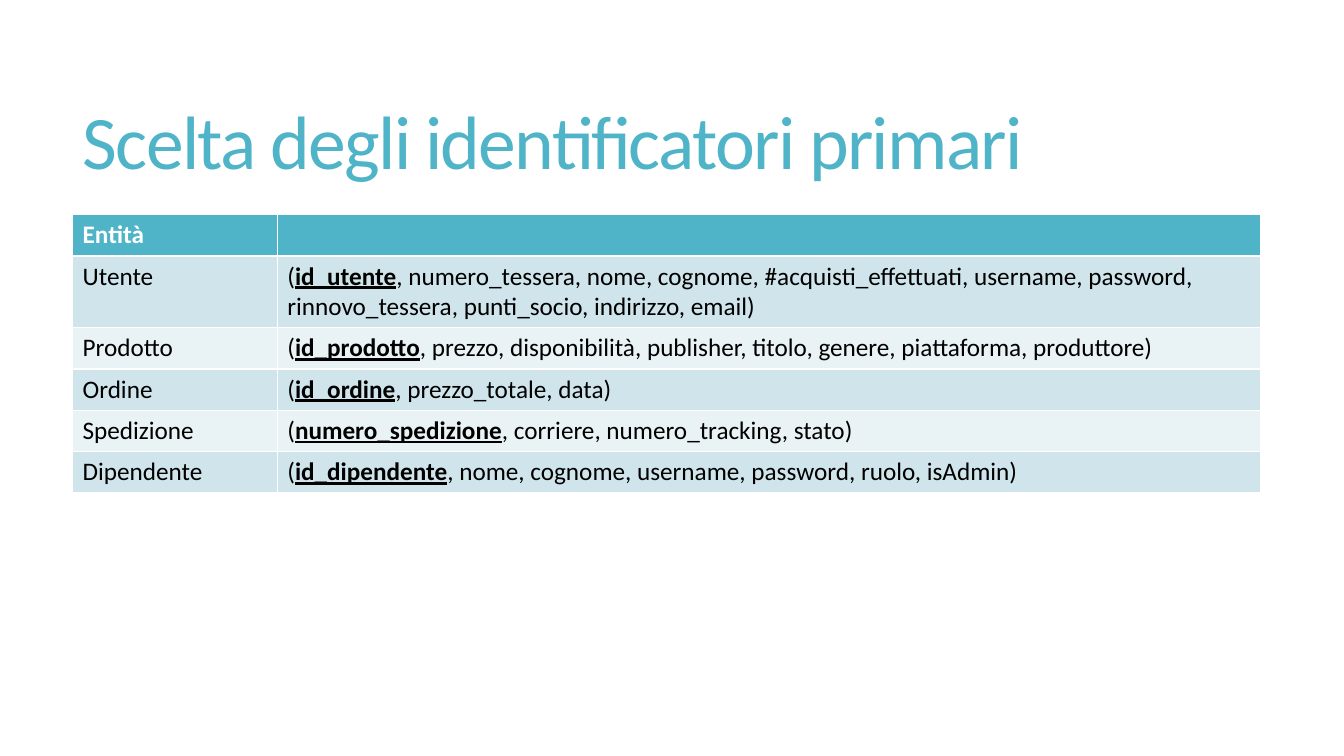
import pptx
import pptx.util
import pptx.dml.color
import pptx.enum.text

Inches = pptx.util.Inches


def style(font, size, color, bold=False):
    font.name = "Calibri"
    font.size = pptx.util.Pt(size)
    font.bold = bold
    font.color.rgb = pptx.dml.color.RGBColor.from_string(color)


entities = [
    ("Utente", "id_utente", ", numero_tessera, nome, cognome, #acquisti_effettuati, username, "
     "password, rinnovo_tessera, punti_socio, indirizzo, email)"),
    ("Prodotto", "id_prodotto",
     ", prezzo, disponibilità, publisher, titolo, genere, piattaforma, produttore)"),
    ("Ordine", "id_ordine", ", prezzo_totale, data)"),
    ("Spedizione", "numero_spedizione", ", corriere, numero_tracking, stato)"),
    ("Dipendente", "id_dipendente", ", nome, cognome, username, password, ruolo, isAdmin)"),
]

presentation = pptx.Presentation()
presentation.slide_width = Inches(13.33)
presentation.slide_height = Inches(7.5)
slide = presentation.slides.add_slide(presentation.slide_layouts[5])

title = slide.shapes.title
title.left, title.top = Inches(0.72), Inches(0.55)
title.width, title.height = Inches(11.78), Inches(1.81)
title.text_frame.text = "Scelta degli identificatori primari"
title.text_frame.auto_size = pptx.enum.text.MSO_AUTO_SIZE.NONE
title.text_frame.vertical_anchor = pptx.enum.text.MSO_ANCHOR.MIDDLE
heading = title.text_frame.paragraphs[0]
heading.alignment = pptx.enum.text.PP_ALIGN.LEFT
heading.line_spacing = 0.85
style(heading.runs[0].font, 54, "50B4C8")
heading.runs[0].font._element.set("spc", "-120")

row_height = 0.41
row_count = len(entities) + 1
identifiers = slide.shapes.add_table(
    row_count, 2, Inches(0.72), Inches(2.13), Inches(11.78), Inches(row_height * row_count)
).table
identifiers.columns[0].width = Inches(2.03)
identifiers.columns[1].width = Inches(9.75)

identifiers.cell(0, 0).text_frame.text = "Entità"
for column in range(2):
    style(identifiers.cell(0, column).text_frame.paragraphs[0].font, 18, "FFFFFF", True)
style(identifiers.cell(0, 0).text_frame.paragraphs[0].runs[0].font, 18, "FFFFFF", True)

for row, (entity, key, attributes) in enumerate(entities, start=1):
    identifiers.cell(row, 0).text_frame.text = entity
    style(identifiers.cell(row, 0).text_frame.paragraphs[0].runs[0].font, 18, "000000")
    schema = identifiers.cell(row, 1).text_frame.paragraphs[0]
    for text in ("(", key, attributes):
        part = schema.add_run()
        part.text = text
        style(part.font, 18, "000000", text == key)
        part.font.underline = text == key

for row in range(row_count):
    fill_color = "50B4C8" if row == 0 else "D0E5EB" if row % 2 else "E9F2F5"
    for cell in identifiers.rows[row].cells:
        cell.fill.solid()
        cell.fill.fore_color.rgb = pptx.dml.color.RGBColor.from_string(fill_color)

presentation.save("out.pptx")
